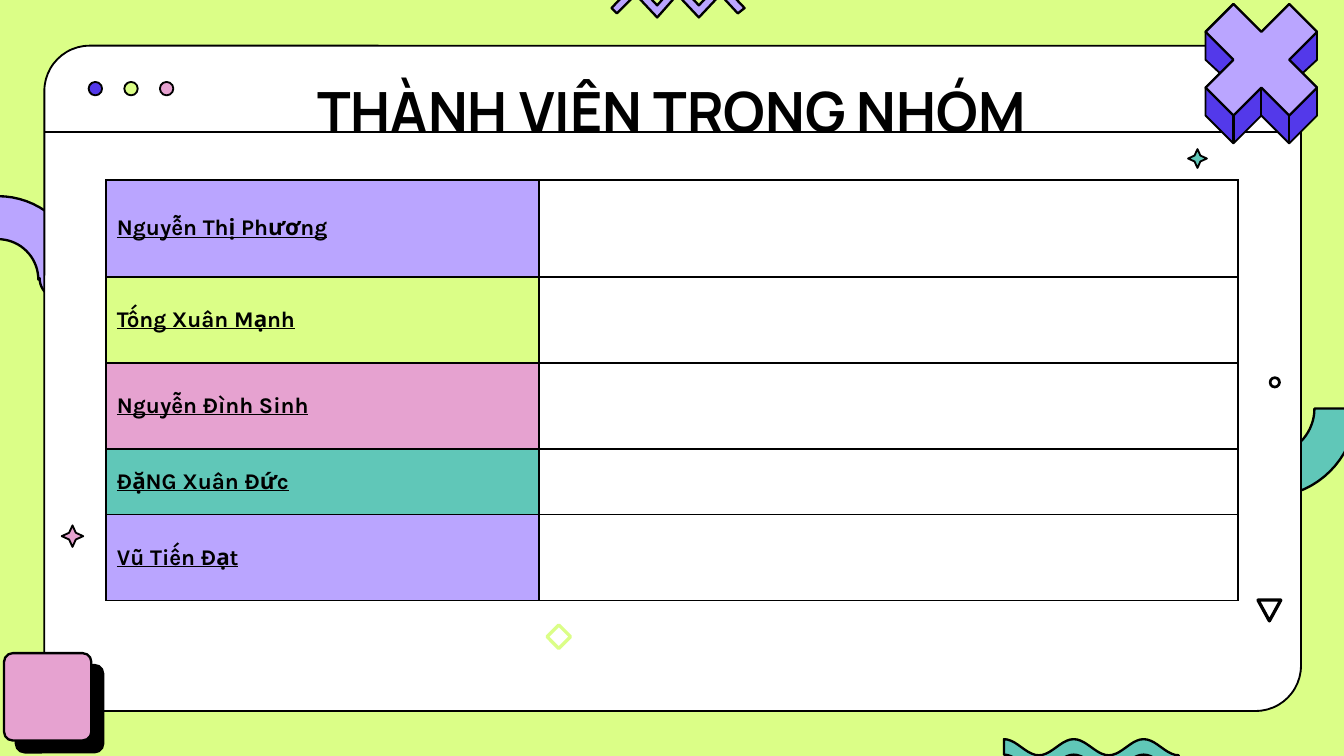
import math
from dataclasses import dataclass
from typing import Optional

import lxml.etree
import pptx
import pptx.dml.color
import pptx.enum.shapes
import pptx.enum.text
import pptx.oxml
import pptx.oxml.ns
import pptx.util

RGB = pptx.dml.color.RGBColor
BLACK, WHITE = RGB(0, 0, 0), RGB(255, 255, 255)
LIME = RGB(0xDB, 0xFE, 0x87)
LILAC = RGB(0xBA, 0xA5, 0xFF)
VIOLET = RGB(0x53, 0x39, 0xEA)
PINK = RGB(0xE6, 0xA2, 0xD0)
TEAL = RGB(0x60, 0xC7, 0xB8)

KIND = pptx.enum.shapes.MSO_SHAPE
MIDDLE = pptx.enum.text.MSO_ANCHOR.MIDDLE
NS = pptx.oxml.ns.nsdecls("a")
Point = tuple[float, float]

# Grid of 1000 square cells across the slide
SLIDE_WIDTH = pptx.util.Inches(10)
SLIDE_HEIGHT = SLIDE_WIDTH * 9 // 16
CELL = SLIDE_WIDTH / 1000


@dataclass(frozen=True)
class Ornament:
    kind: int
    col: float
    row: float
    cols: float
    rows: float
    fill: Optional[RGB]
    line: Optional[RGB] = BLACK
    weight: float = 1
    adjust: Optional[float] = None
    turn: float = 0


@dataclass(frozen=True)
class Member:
    name: str
    rows: int
    fill: RGB


WINDOW = Ornament(KIND.ROUNDED_RECTANGLE, 33, 34, 935, 495, WHITE, adjust=0.068)
BUTTONS = [Ornament(KIND.OVAL, 66 + 26.5 * i, 61, 10, 10, fill)
           for i, fill in enumerate((VIOLET, LIME, PINK))]
ORNAMENTS = BUTTONS + [
    Ornament(KIND.STAR_4_POINT, 46, 391, 16, 16, PINK, adjust=0.22),
    Ornament(KIND.STAR_4_POINT, 884, 111, 14, 14, TEAL, adjust=0.22),
    Ornament(KIND.ISOSCELES_TRIANGLE, 936, 446.5, 17, 15.5, None, weight=1.75, turn=180),
    Ornament(KIND.DIAMOND, 407, 465, 17.5, 17.5, None, LIME, 1.75),
    Ornament(KIND.DONUT, 944, 280, 9, 9, BLACK, None, adjust=0.23),
]
PINK_TILE = Ornament(KIND.ROUNDED_RECTANGLE, 3, 486, 65, 65, PINK, weight=1.25, adjust=0.1)

MEMBERS = [
    Member("Nguyễn Thị Phương", 72, LILAC),
    Member("Tống Xuân Mạnh", 64, LIME),
    Member("Nguyễn Đình Sinh", 64, PINK),
    Member("ĐặNG Xuân Đức", 49, TEAL),
    Member("Vũ Tiến Đạt", 64, LILAC),
]
COLUMNS = (322, 520)
TITLE_FORMAT = {"name": "Manrope", "size": pptx.util.Pt(29.7), "bold": True}
NAME_FORMAT = {"name": "Karla", "size": pptx.util.Pt(12), "bold": True, "underline": True}


def grid(*cells: float) -> list[int]:
    return [round(c * CELL) for c in cells]


def paint(shape, fill: Optional[RGB], line: Optional[RGB], weight: float) -> None:
    shape.shadow.inherit = False
    if fill is None:
        shape.fill.background()
    else:
        shape.fill.solid()
        shape.fill.fore_color.rgb = fill
    if line is None:
        shape.line.fill.background()
    else:
        shape.line.color.rgb = line
        shape.line.width = pptx.util.Pt(weight)


def draw_ornament(slide, item: Ornament):
    shape = slide.shapes.add_shape(item.kind, *grid(item.col, item.row, item.cols, item.rows))
    if item.adjust is not None:
        shape.adjustments[0] = item.adjust
    shape.rotation = item.turn
    paint(shape, item.fill, item.line, item.weight)
    return shape


def draw_outline(slide, points: list[Point], fill: RGB, weight: float = 1.25) -> None:
    start, *rest = [tuple(grid(*p)) for p in points]
    builder = slide.shapes.build_freeform(*start, scale=1.0)
    builder.add_line_segments(rest, close=True)
    paint(builder.convert_to_shape(), fill, BLACK, weight)


def draw_line(slide, begin: Point, end: Point, weight: float = 1) -> None:
    line = slide.shapes.add_connector(
        pptx.enum.shapes.MSO_CONNECTOR.STRAIGHT, *grid(*begin, *end))
    line.line.color.rgb = BLACK
    line.line.width = pptx.util.Pt(weight)
    lxml.etree.SubElement(line._element.spPr, pptx.oxml.ns.qn("a:effectLst"))


def arc(center: Point, radius: float, first: int, last: int) -> list[Point]:
    steps = 36
    angles = [math.radians(first + (last - first) * i / steps) for i in range(steps + 1)]
    return [(center[0] + radius * math.cos(a), center[1] + radius * math.sin(a)) for a in angles]


def write(paragraph, text: str, formats: dict) -> None:
    run = paragraph.add_run()
    run.text = text
    for attribute, value in formats.items():
        setattr(run.font, attribute, value)
    run.font.color.rgb = BLACK


def draw_bands(slide) -> None:
    # Arch with round ends on the left, plain half ring on the right
    arch = (arc((-1.5, 208), 62, 180, 360) + arc((45, 207), 15.5, 0, 180)
            + arc((-1.5, 208), 30, 360, 180) + arc((-46, 211), 15.5, 0, 180))
    draw_outline(slide, arch, LILAC)
    ring_center = (943, 304)
    draw_outline(slide, arc(ring_center, 66, 180, 0) + arc(ring_center, 35, 0, 180), TEAL)


def draw_cross(slide) -> None:
    x = [897 + 20.75 * i for i in range(5)]
    y = [3 + 20.75 * i for i in range(5)]
    depth = 20.75
    upper = [(x[0], y[1]), (x[1], y[0]), (x[2], y[1]), (x[3], y[0]), (x[4], y[1])]
    lower = [(x[4], y[3]), (x[3], y[4]), (x[2], y[3]), (x[1], y[4]), (x[0], y[3])]
    sides = (upper + [(x[4], y[2]), (x[3] + 10, y[2] + 10)] + lower[:1]
             + [(px, py + depth) for px, py in lower]
             + lower[-1:] + [(x[1] - 10, y[2] + 10), (x[0], y[2])])
    draw_outline(slide, sides, VIOLET, 1)
    draw_outline(slide, upper + [(x[3], y[2])] + lower + [(x[1], y[2])], LILAC)
    for px, py in lower[1:4]:
        draw_line(slide, (px, py), (px, py + depth), 1.25)


def draw_edge_waves(slide) -> None:
    zigzag = [(520, 13), (504, -4), (489, 13), (473, -4), (459, 10), (455, 6), (473, -13),
              (489, 4), (504, -13), (520, 4), (536, -13), (554, 6), (549, 10), (536, -4)]
    draw_outline(slide, zigzag, LILAC)
    crest = [(747 + i * 2.6, 556 - 6 * math.cos(math.tau * i / 20)) for i in range(51)]
    trough = [(px, py + 11.5) for px, py in reversed(crest)]
    draw_outline(slide, crest + trough, TEAL)


def draw_title(slide) -> None:
    box = slide.shapes.add_textbox(*grid(79, 65, 842, 40))
    frame = box.text_frame
    frame.word_wrap = True
    frame.vertical_anchor = MIDDLE
    heading = frame.paragraphs[0]
    heading.alignment = pptx.enum.text.PP_ALIGN.CENTER
    heading.line_spacing = 0.9
    write(heading, "THÀNH VIÊN TRONG NHÓM", TITLE_FORMAT)


def style_cell(cell, fill: RGB) -> None:
    cell.vertical_anchor = MIDDLE
    for side in ("left", "right", "top", "bottom"):
        setattr(cell, f"margin_{side}", grid(8)[0])
    cell.fill.solid()
    cell.fill.fore_color.rgb = fill
    properties = cell._tc.get_or_add_tcPr()
    for position, side in enumerate("LRTB"):
        properties.insert(position, pptx.oxml.parse_xml(
            f'<a:ln{side} {NS} w="12700"><a:solidFill><a:srgbClr val="{BLACK}"/>'
            f'</a:solidFill></a:ln{side}>'))


def draw_members(slide) -> None:
    height = sum(member.rows for member in MEMBERS)
    table = slide.shapes.add_table(
        len(MEMBERS), len(COLUMNS), *grid(79, 134, sum(COLUMNS), height)).table
    table.first_row = table.horz_banding = False
    for column, cols in zip(table.columns, COLUMNS):
        column.width = grid(cols)[0]
    for row, member in zip(table.rows, MEMBERS):
        row.height = grid(member.rows)[0]
        name_cell, blank_cell = row.cells
        style_cell(name_cell, member.fill)
        style_cell(blank_cell, WHITE)
        write(name_cell.text_frame.paragraphs[0], member.name, NAME_FORMAT)


def draw_tile(slide) -> None:
    # Pink tile with a hard black shadow
    tile = draw_ornament(slide, PINK_TILE)
    effects = tile._element.spPr.find(pptx.oxml.ns.qn("a:effectLst"))
    effects.append(pptx.oxml.parse_xml(
        f'<a:outerShdw {NS} dist="{pptx.util.Pt(9)}" dir="2700000" algn="bl" rotWithShape="0">'
        f'<a:srgbClr val="{BLACK}"/></a:outerShdw>'))


def main() -> None:
    deck = pptx.Presentation()
    deck.slide_width, deck.slide_height = SLIDE_WIDTH, SLIDE_HEIGHT
    slide = deck.slides.add_slide(deck.slide_layouts[6])
    slide.background.fill.solid()
    slide.background.fill.fore_color.rgb = LIME

    # Browser window over the side bands
    draw_bands(slide)
    draw_ornament(slide, WINDOW)
    draw_line(slide, (33, 98.5), (967, 98.5))

    # Content
    draw_title(slide)
    draw_members(slide)

    # Decoration
    for item in ORNAMENTS:
        draw_ornament(slide, item)
    draw_cross(slide)
    draw_tile(slide)
    draw_edge_waves(slide)
    deck.save("out.pptx")


if __name__ == "__main__":
    main()
